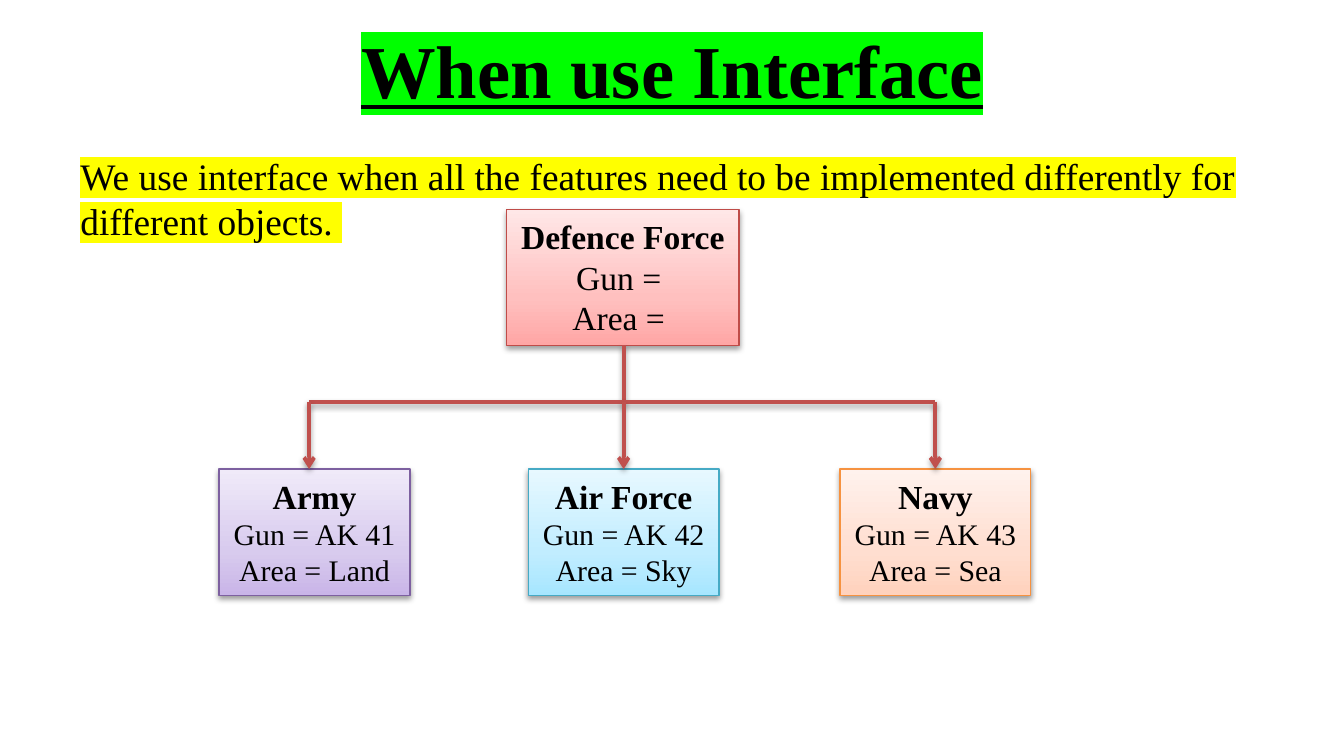
from copy import deepcopy

from lxml import etree
from pptx import Presentation
from pptx.dml.color import RGBColor
from pptx.enum.shapes import MSO_CONNECTOR, MSO_SHAPE
from pptx.enum.text import MSO_ANCHOR, MSO_AUTO_SIZE, PP_ALIGN
from pptx.oxml.ns import qn
from pptx.util import Pt

STRAIGHT, RECT = MSO_CONNECTOR.STRAIGHT, MSO_SHAPE.RECTANGLE
MIDDLE, TOP = MSO_ANCHOR.MIDDLE, MSO_ANCHOR.TOP
CENTER, LEFT = PP_ALIGN.CENTER, PP_ALIGN.LEFT
FIT_SHAPE = MSO_AUTO_SIZE.SHAPE_TO_FIT_TEXT

FONT, BLACK, ARROW_RED = "Times New Roman", "000000", "C0504D"
TITLE = "When use Interface"
RULE = ("We use interface when all the features need to be implemented "
        "differently for different objects. ")
# lines of text, left, gradient from bottom to top, outline
PARENT = (["Defence Force", "Gun = ", "Area = "], 271.4,
          ["FFA6A5", "FFC0BF", "FFE7E7"], "BF4C48")
CHILDREN = [
    (["Army", "Gun = AK 41", "Area = Land"], 117.4,
     ["C9B5E8", "D8CBEE", "F0EAF9"], "7D60A0"),
    (["Air Force", "Gun = AK 42", "Area = Sky"], 283,
     ["A7E6FF", "C1EDFF", "E7F8FF"], "46AAC5"),
    (["Navy", "Gun = AK 43", "Area = Sea"], 450,
     ["FFD2BD", "FFDED0", "FFF2ED"], "F69240"),
]
STOPS = (0, 0.35, 1)
PARENT_TOP, PARENT_W, PARENT_H = 112.3, 124.6, 72.7
CHILD_TOP, CHILD_W, CHILD_H = 251.3, 102.2, 67.7
ARROW_XS = (165.6, 334.1, 501.1)
BAR_Y = 215.3


def rgb(value):
    return RGBColor.from_string(value)


def add_shadow(effects):
    shadow = etree.SubElement(effects, qn("a:outerShdw"), blurRad=str(Pt(3.1)),
                              dist=str(Pt(1.6)), dir="5400000", rotWithShape="0")
    color = etree.SubElement(shadow, qn("a:srgbClr"), val=BLACK)
    etree.SubElement(color, qn("a:alpha"), val="38000")


def add_run(p, text, highlight=None, **formats):
    r = p.add_run()
    r.text = text
    r.font.name = FONT
    r.font.color.rgb = rgb(BLACK)
    for name, value in formats.items():
        setattr(r.font, name, value)
    if highlight:
        mark = etree.Element(qn("a:highlight"))
        etree.SubElement(mark, qn("a:srgbClr"), val=highlight)
        r.font._element.find(qn("a:solidFill")).addnext(mark)


def add_text(text, box, align, anchor, margin_top, **formats):
    tf = s.shapes.add_textbox(*map(Pt, box)).text_frame
    tf.word_wrap = True
    tf.vertical_anchor = anchor
    tf.margin_top = Pt(margin_top)
    tf.paragraphs[0].alignment = align
    add_run(tf.paragraphs[0], text, **formats)


def add_class_box(lines, left, colors, outline, top, width, height, body_size):
    sp = s.shapes.add_shape(RECT, Pt(left), Pt(top), Pt(width), Pt(height))
    sp.shadow.inherit = False
    sp.fill.gradient()
    sp.fill.gradient_angle = 90
    stop_list = sp._element.spPr.find(".//" + qn("a:gsLst"))
    stop_list.append(deepcopy(stop_list[0]))
    for stop, position, color in zip(sp.fill.gradient_stops, STOPS, colors):
        stop.position = position
        stop.color.rgb = rgb(color)
    sp.line.color.rgb = rgb(outline)
    sp.line.width = Pt(0.75)
    add_shadow(sp._element.spPr.find(qn("a:effectLst")))
    tf = sp.text_frame
    tf.word_wrap = False
    tf.auto_size = FIT_SHAPE
    tf.vertical_anchor = TOP
    for i, line in enumerate(lines):
        p = tf.add_paragraph() if i else tf.paragraphs[0]
        p.alignment = CENTER
        add_run(p, line, size=Pt(body_size if i else 18), bold=i == 0)


def add_line(x1, y1, x2, y2, arrow=False):
    line = s.shapes.add_connector(STRAIGHT, Pt(x1), Pt(y1), Pt(x2), Pt(y2))
    line.line.color.rgb = rgb(ARROW_RED)
    line.line.width = Pt(2)
    spPr = line._element.spPr
    if arrow:
        etree.SubElement(spPr.find(qn("a:ln")), qn("a:tailEnd"), type="arrow")
    add_shadow(etree.SubElement(spPr, qn("a:effectLst")))


prs = Presentation()
prs.slide_width, prs.slide_height = Pt(720), Pt(405)
s = prs.slides.add_slide(prs.slide_layouts[6])

add_text(TITLE, (36, 2.9, 648, 67.7), CENTER, MIDDLE, 3.6,
         highlight="00FF00", size=Pt(40), bold=True, underline=True)
add_text(RULE, (36, 76.3, 648, 267.1), LEFT, TOP, 5.6,
         highlight="FFFF00", size=Pt(20))

add_class_box(*PARENT, PARENT_TOP, PARENT_W, PARENT_H, 18)
for child in CHILDREN:
    add_class_box(*child, CHILD_TOP, CHILD_W, CHILD_H, 16)

add_line(ARROW_XS[1], PARENT_TOP + PARENT_H, ARROW_XS[1], BAR_Y)
add_line(ARROW_XS[0], BAR_Y, ARROW_XS[-1], BAR_Y)
for x in ARROW_XS:
    add_line(x, BAR_Y, x, CHILD_TOP, arrow=True)

prs.save("out.pptx")
